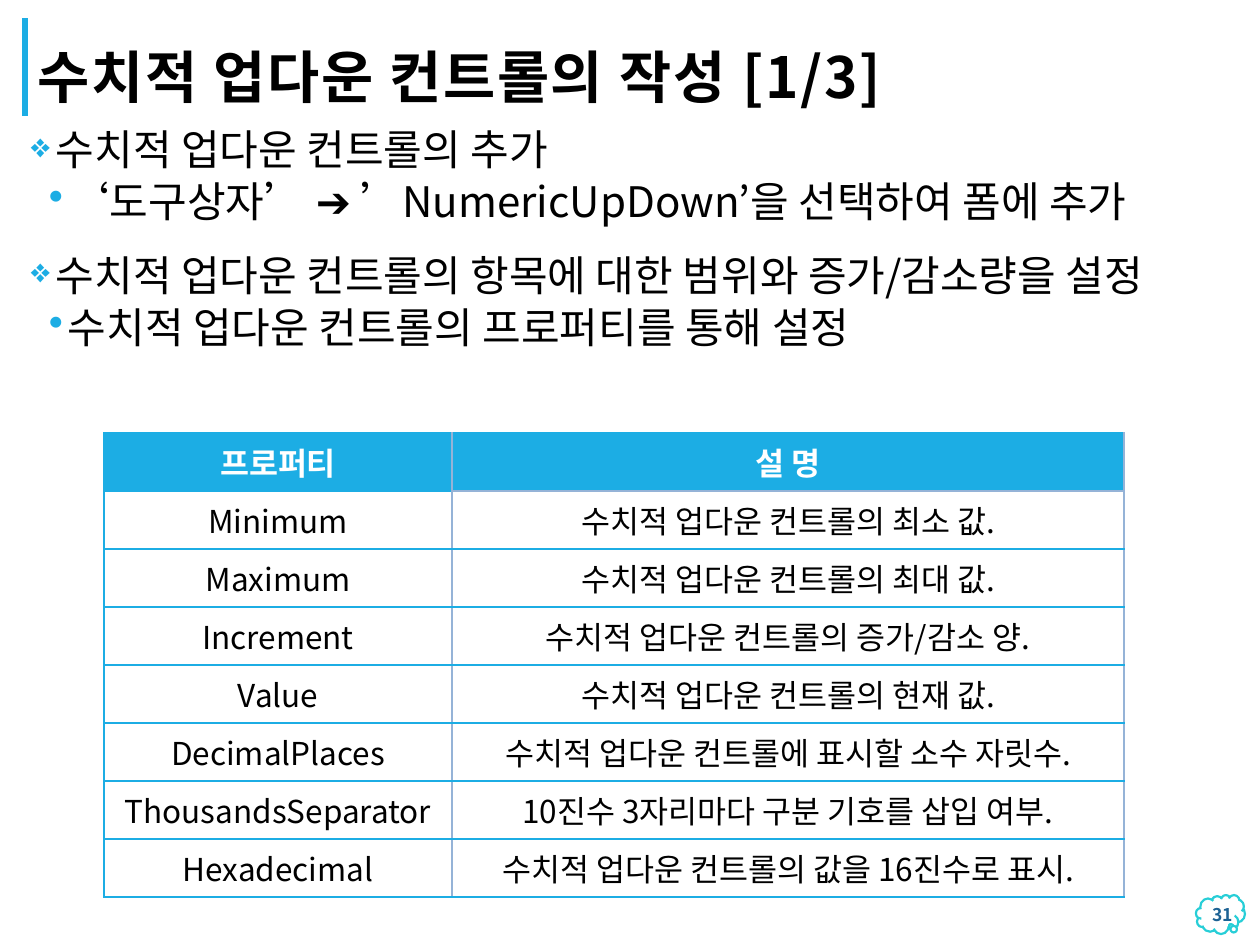
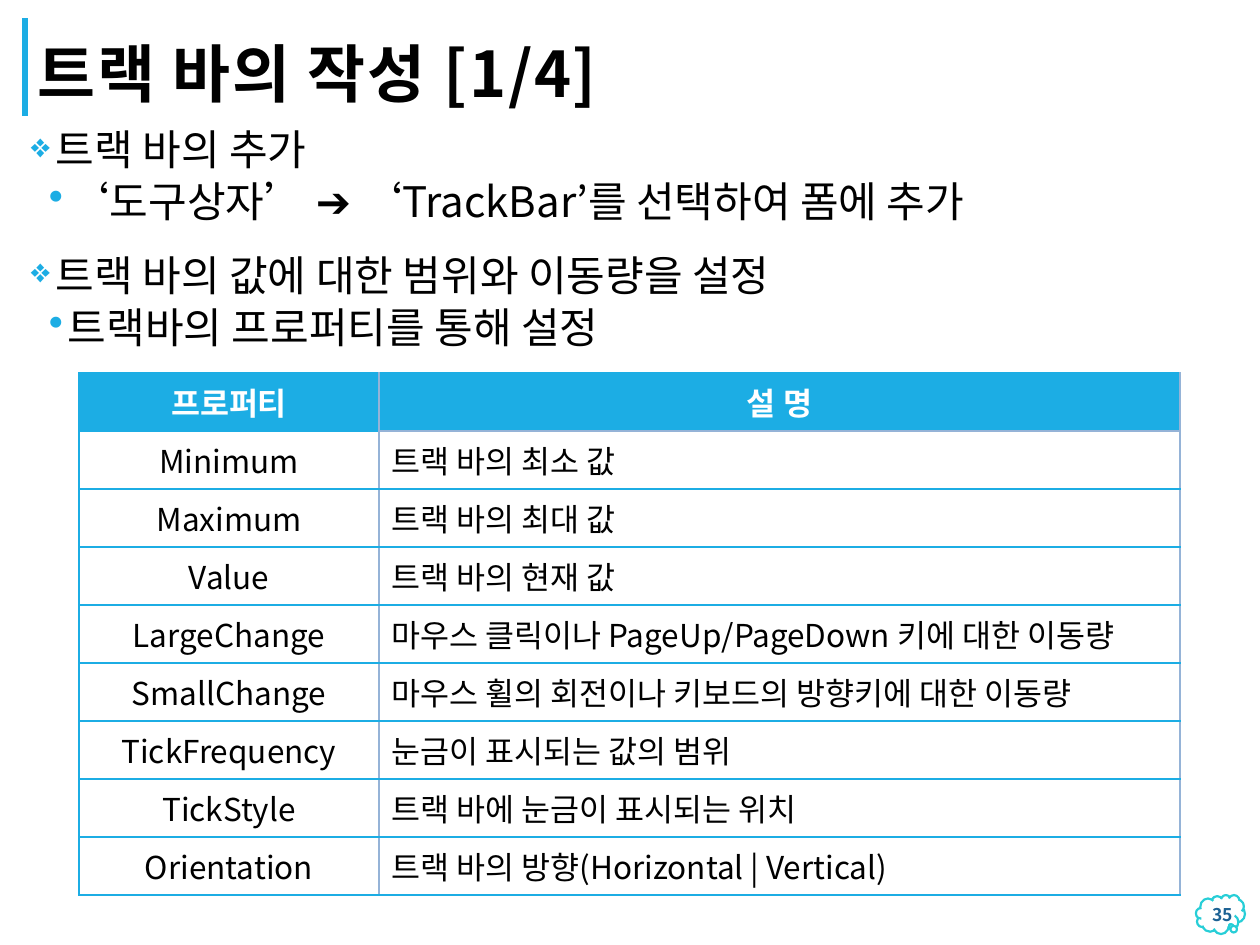
from lxml.etree import SubElement
from pptx import Presentation
from pptx.dml.color import RGBColor
from pptx.enum.shapes import MSO_CONNECTOR, MSO_SHAPE
from pptx.enum.text import MSO_ANCHOR, PP_ALIGN
from pptx.oxml.ns import qn
from pptx.util import Pt

FONT = "Noto Sans CJK KR"
COLORS = {"black": "000000", "white": "FFFFFF", "blue": "1CADE4",
          "steel": "95B3D7", "cloud": "27CED7", "page": "1D6294"}
# Per level: left margin, indent, space before, space after, sign, sign size
LEVELS = [(25, -48, 12, 2, "❖", 80), (37, -19, 2, 4, "•", 100)]


def px(n):
    return round(n * 914400 / 126)


def rgb(name):
    return RGBColor.from_string(COLORS[name])


class Deck:
    def __init__(self):
        self.prs = Presentation()
        self.prs.slide_width, self.prs.slide_height = px(1260), px(945)

    def style(self, para, size, color="black", bold=False, space=0):
        for run in para.runs:
            font = run.font
            font.size, font.bold, font.name = Pt(size), bold, FONT
            font.color.rgb = rgb(color)
            props = run._r.get_or_add_rPr()
            SubElement(props, qn("a:ea")).set("typeface", FONT)
            if space:
                props.set("spc", str(space))

    def box(self, x, y, w, h, text, anchor):
        frame = self.slide.shapes.add_textbox(px(x), px(y), px(w), px(h)).text_frame
        frame.word_wrap, frame.vertical_anchor = True, anchor
        frame.text = text
        return frame

    def page(self, title, size, number):
        self.slide = self.prs.slides.add_slide(self.prs.slide_layouts[6])
        shapes = self.slide.shapes

        # Bar beside the title
        bar = shapes.add_connector(MSO_CONNECTOR.STRAIGHT, px(25), px(116), px(25), px(18))
        bar.line.color.rgb, bar.line.width = rgb("blue"), Pt(3)
        SubElement(bar._element.spPr, qn("a:effectLst"))

        # Cloud with the page number
        cloud = shapes.add_shape(MSO_SHAPE.CLOUD_CALLOUT, px(1196), px(895), px(49), px(39))
        cloud.adjustments[0], cloud.adjustments[1] = 0.2, 0.28
        cloud.shadow.inherit = False
        cloud.fill.solid()
        cloud.fill.fore_color.rgb = rgb("white")
        cloud.line.color.rgb, cloud.line.width = rgb("cloud"), Pt(1.25)
        para = self.box(1166, 893, 79, 43, number, MSO_ANCHOR.MIDDLE).paragraphs[0]
        para.alignment = PP_ALIGN.RIGHT
        self.style(para, 10, "page", True)

        # Title
        para = self.box(25, 18, 1004, 98, title, MSO_ANCHOR.BOTTOM).paragraphs[0]
        para.line_spacing = 0.8
        self.style(para, size, bold=True, space=100)

    def points(self, items):
        text = "\n".join(item for level, item in items)
        frame = self.box(25, 123, 1211, 774, text, MSO_ANCHOR.TOP)
        frame.margin_left = frame.margin_right = px(6)
        frame.margin_top = frame.margin_bottom = px(6)
        for i, (level, item) in enumerate(items):
            para = frame.paragraphs[i]
            left, indent, before, after, sign, scale = LEVELS[level]
            para.level, para.line_spacing = level, 0.9
            para.space_before = Pt(before if i else 0)
            para.space_after = Pt(after)
            props = para._p.get_or_add_pPr()
            props.set("marL", str(px(left)))
            props.set("indent", str(px(indent)))
            tint = SubElement(props, qn("a:buClr"))
            SubElement(tint, qn("a:srgbClr")).set("val", COLORS["blue"])
            SubElement(props, qn("a:buSzPct")).set("val", str(scale * 1000))
            SubElement(props, qn("a:buChar")).set("char", sign)
            self.style(para, 24)

    def border(self, cell, sides):
        props = cell._tc.get_or_add_tcPr()
        for side, color in zip("LRTB", sides):
            line = SubElement(props, qn("a:ln" + side), w=str(Pt(1)))
            fill = SubElement(line, qn("a:solidFill"))
            SubElement(fill, qn("a:srgbClr")).set("val", COLORS[color])

    def table(self, x, y, widths, rows, align):
        high = 58
        rows = [("프로퍼티", "설 명")] + rows
        grid = self.slide.shapes.add_table(len(rows), len(widths), px(x), px(y),
                                           px(sum(widths)), px(high * len(rows))).table
        for c, width in enumerate(widths):
            grid.columns[c].width = px(width)
        for r, row in enumerate(rows):
            grid.rows[r].height = px(high)
            for c, text in enumerate(row):
                cell, head = grid.cell(r, c), r == 0
                left = "steel" if c else "blue"
                top = "steel" if c and r == 1 else "blue"
                base = "steel" if c and head else "blue"
                self.border(cell, (left, "steel", top, base))
                cell.fill.solid()
                cell.fill.fore_color.rgb = rgb("blue" if head else "white")
                cell.vertical_anchor = MSO_ANCHOR.MIDDLE
                cell.text_frame.text = text
                para = cell.text_frame.paragraphs[0]
                para.alignment = align if c and not head else PP_ALIGN.CENTER
                self.style(para, 18, "white" if head else "black", head)


def main():
    deck = Deck()

    # Numeric up-down control
    deck.page("수치적 업다운 컨트롤의 작성 [1/3]", 32.4, "31")
    deck.points([
        (0, "수치적 업다운 컨트롤의 추가"),
        (1, "‘도구상자’ ➔ ’NumericUpDown’을 선택하여 폼에 추가"),
        (0, "수치적 업다운 컨트롤의 항목에 대한 범위와 증가/감소량을 설정"),
        (1, "수치적 업다운 컨트롤의 프로퍼티를 통해 설정"),
    ])
    deck.table(104, 433, (348, 672), [
        ("Minimum", "수치적 업다운 컨트롤의 최소 값."),
        ("Maximum", "수치적 업다운 컨트롤의 최대 값."),
        ("Increment", "수치적 업다운 컨트롤의 증가/감소 양."),
        ("Value", "수치적 업다운 컨트롤의 현재 값."),
        ("DecimalPlaces", "수치적 업다운 컨트롤에 표시할 소수 자릿수."),
        ("ThousandsSeparator", "10진수 3자리마다 구분 기호를 삽입 여부."),
        ("Hexadecimal", "수치적 업다운 컨트롤의 값을 16진수로 표시."),
    ], PP_ALIGN.CENTER)

    # Track bar
    deck.page("트랙 바의 작성 [1/4]", 36, "35")
    deck.points([
        (0, "트랙 바의 추가"),
        (1, "‘도구상자’ ➔ ‘TrackBar’를 선택하여 폼에 추가"),
        (0, "트랙 바의 값에 대한 범위와 이동량을 설정"),
        (1, "트랙바의 프로퍼티를 통해 설정"),
    ])
    deck.table(79, 373, (300, 801), [
        ("Minimum", "트랙 바의 최소 값"),
        ("Maximum", "트랙 바의 최대 값"),
        ("Value", "트랙 바의 현재 값"),
        ("LargeChange", "마우스 클릭이나 PageUp/PageDown 키에 대한 이동량"),
        ("SmallChange", "마우스 휠의 회전이나 키보드의 방향키에 대한 이동량"),
        ("TickFrequency", "눈금이 표시되는 값의 범위"),
        ("TickStyle", "트랙 바에 눈금이 표시되는 위치"),
        ("Orientation", "트랙 바의 방향(Horizontal | Vertical)"),
    ], PP_ALIGN.LEFT)

    deck.prs.save("out.pptx")


if __name__ == "__main__":
    main()
